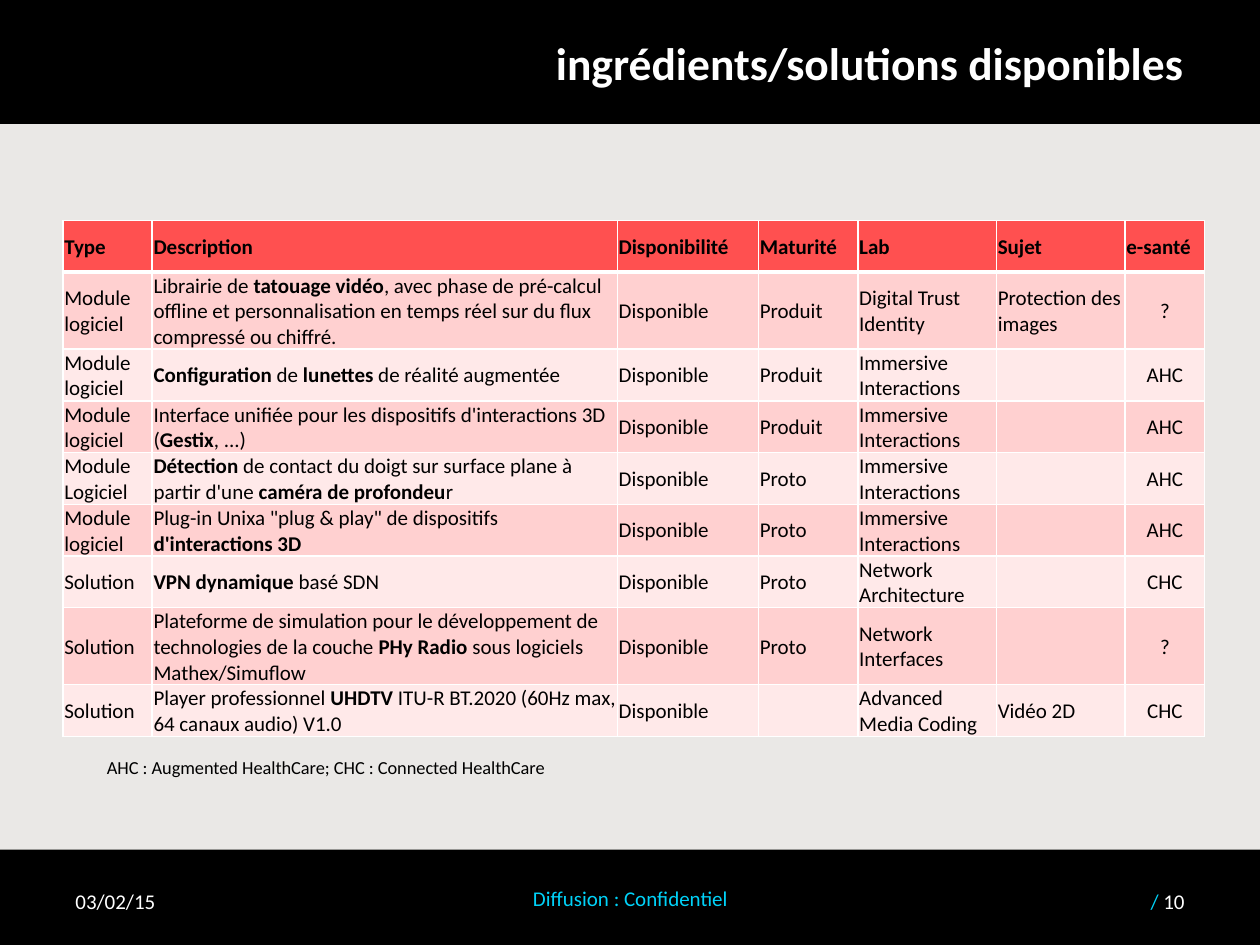
"""Build the slide listing the available ingredients and solutions."""
from dataclasses import dataclass

from lxml import etree
from pptx import Presentation
from pptx.dml.color import RGBColor
from pptx.enum.shapes import MSO_SHAPE
from pptx.enum.text import MSO_ANCHOR, PP_ALIGN
from pptx.oxml.ns import qn
from pptx.util import Pt

LEFT, CENTER, RIGHT = PP_ALIGN.LEFT, PP_ALIGN.CENTER, PP_ALIGN.RIGHT
TOP, MIDDLE = MSO_ANCHOR.TOP, MSO_ANCHOR.MIDDLE
RECTANGLE = MSO_SHAPE.RECTANGLE

TITLE = "ingrédients/solutions disponibles"
LEGEND = "AHC : Augmented HealthCare; CHC : Connected HealthCare"
DATE = "03/02/15"
CONFIDENTIALITY = "Diffusion : Confidentiel"
PAGE_SEPARATOR, PAGE_NUMBER = "/ ", "10"

HEADERS = ["Type", "Description", "Disponibilité", "Maturité", "Lab", "Sujet", "e-santé"]
SOLUTIONS = [
    ("Module logiciel",
     "Librairie de **tatouage vidéo**, avec phase de pré-calcul offline et "
     "personnalisation en temps réel sur du flux compressé ou chiffré.",
     "Disponible", "Produit", "Digital Trust Identity", "Protection des images", "?"),
    ("Module logiciel", "**Configuration** de **lunettes** de réalité augmentée",
     "Disponible", "Produit", "Immersive Interactions", "", "AHC"),
    ("Module logiciel",
     "Interface unifiée pour les dispositifs d'interactions 3D (**Gestix**, ...)",
     "Disponible", "Produit", "Immersive Interactions", "", "AHC"),
    ("Module Logiciel",
     "**Détection **de contact du doigt sur surface plane à partir d'une "
     "**caméra de profondeu**r",
     "Disponible", "Proto", "Immersive Interactions", "", "AHC"),
    ("Module logiciel",
     "Plug-in Unixa \"plug & play\" de dispositifs **d'interactions 3D**",
     "Disponible", "Proto", "Immersive Interactions", "", "AHC"),
    ("Solution", "**VPN dynamique **basé SDN",
     "Disponible", "Proto", "Network Architecture", "", "CHC"),
    ("Solution",
     "Plateforme de simulation pour le développement de technologies de la couche "
     "**PHy Radio **sous logiciels Mathex/Simuflow",
     "Disponible", "Proto", "Network Interfaces", "", "?"),
    ("Solution",
     "Player professionnel **UHDTV** ITU-R BT.2020 (60Hz max, 64 canaux audio) V1.0",
     "Disponible", "", "Advanced Media Coding", "Vidéo 2D", "CHC"),
]

SLIDE_WIDTH, SLIDE_HEIGHT = 720, 540
BANDS = [(0, 70.8), (485.5, 55)]
COLUMN_WIDTHS = [51, 265.8, 80.7, 56.8, 79.2, 73.5, 45.5]
ROW_HEIGHT = 29.5
TABLE_LEFT, TABLE_TOP = 36, 126
CELL_INSET = 0.75
BORDER_WIDTH, HEADER_RULE_WIDTH = 1, 3


@dataclass(frozen=True)
class Theme:
    font: str = "Calibri"
    background: str = "EAE8E6"
    black: str = "000000"
    white: str = "FFFFFF"
    accent: str = "00D2F8"
    header: str = "FF5050"
    stripes: tuple = ("FFD0D0", "FFE9E9")
    title_size: float = 26
    body_size: float = 12
    legend_size: float = 10.5


THEME = Theme()


def paint(fill, color):
    fill.solid()
    fill.fore_color.rgb = RGBColor.from_string(color)


def write(paragraph, parts, size, align=LEFT):
    """Fill a paragraph with (text, colour, bold) parts."""
    paragraph.alignment = align
    for text, color, bold in parts:
        run = paragraph.add_run()
        run.text = text
        run.font.name, run.font.size, run.font.bold = THEME.font, Pt(size), bold
        run.font.color.rgb = RGBColor.from_string(color)


def bold_parts(marked_text):
    """Split text on ** marks into plain and bold parts."""
    pieces = marked_text.split("**")
    return [(piece, THEME.black, i % 2 == 1) for i, piece in enumerate(pieces) if piece]


def add_label(slide, box, parts, size, align=LEFT, anchor=MIDDLE, wrap=True):
    label = slide.shapes.add_textbox(*map(Pt, box))
    label.text_frame.word_wrap = wrap
    label.text_frame.vertical_anchor = anchor
    write(label.text_frame.paragraphs[0], parts, size, align)


def add_bands(slide):
    for top, height in BANDS:
        band = slide.shapes.add_shape(RECTANGLE, 0, Pt(top), Pt(SLIDE_WIDTH), Pt(height))
        band.shadow.inherit = False
        paint(band.fill, THEME.black)
        band.line.fill.background()


def add_title(slide):
    title = slide.shapes.title
    title.left, title.top, title.width, title.height = map(Pt, (196, 16, 488, 39))
    title.text_frame.vertical_anchor = MIDDLE
    write(title.text_frame.paragraphs[0], [(TITLE, THEME.white, True)], THEME.title_size, RIGHT)
    slide.shapes.element.append(title.element)


def add_borders(cell, top, bottom):
    properties = cell._tc.get_or_add_tcPr()
    widths = {"lnL": BORDER_WIDTH, "lnR": BORDER_WIDTH, "lnT": top, "lnB": bottom}
    for side, width in widths.items():
        line = etree.SubElement(properties, qn(f"a:{side}"), w=str(int(Pt(width))))
        fill = etree.SubElement(line, qn("a:solidFill"))
        etree.SubElement(fill, qn("a:srgbClr"), val=THEME.white)


def format_cell(cell, row):
    top = HEADER_RULE_WIDTH if row == 1 else BORDER_WIDTH
    bottom = HEADER_RULE_WIDTH if row == 0 else BORDER_WIDTH
    add_borders(cell, top, bottom)
    paint(cell.fill, THEME.stripes[(row - 1) % 2] if row else THEME.header)
    cell.vertical_anchor = MIDDLE
    cell.margin_left = cell.margin_right = cell.margin_top = Pt(CELL_INSET)
    cell.margin_bottom = 0


def add_solutions_table(slide):
    rows = [[f"**{header}**" for header in HEADERS], *SOLUTIONS]
    table = slide.shapes.add_table(
        len(rows), len(HEADERS), Pt(TABLE_LEFT), Pt(TABLE_TOP),
        Pt(sum(COLUMN_WIDTHS)), Pt(ROW_HEIGHT * len(rows))).table
    for column, width in zip(table.columns, COLUMN_WIDTHS):
        column.width = Pt(width)
    for r, texts in enumerate(rows):
        table.rows[r].height = Pt(ROW_HEIGHT)
        for c, text in enumerate(texts):
            cell = table.cell(r, c)
            format_cell(cell, r)
            align = CENTER if r and c == len(HEADERS) - 1 else LEFT
            paragraph = cell.text_frame.paragraphs[0]
            paragraph.font.size = Pt(THEME.body_size)
            write(paragraph, bold_parts(text), THEME.body_size, align)


def add_footer(slide):
    size = THEME.body_size
    add_label(slide, (36, 500.5, 168, 28.8), [(DATE, THEME.white, False)], size)
    page = [(PAGE_SEPARATOR, THEME.accent, False), (PAGE_NUMBER, THEME.white, False)]
    add_label(slide, (516, 500.5, 168, 28.8), page, size, RIGHT)
    add_label(slide, (247, 502.5, 226.5, 21.8),
              [(CONFIDENTIALITY, THEME.accent, False)], size, CENTER, TOP)


def main():
    deck = Presentation()
    deck.slide_width, deck.slide_height = Pt(SLIDE_WIDTH), Pt(SLIDE_HEIGHT)
    slide = deck.slides.add_slide(deck.slide_layouts[5])
    paint(slide.background.fill, THEME.background)
    add_bands(slide)
    add_footer(slide)
    add_solutions_table(slide)
    add_title(slide)
    add_label(slide, (54, 428.5, 284.5, 20), [(LEGEND, THEME.black, False)],
              THEME.legend_size, anchor=TOP, wrap=False)
    deck.save("out.pptx")


if __name__ == "__main__":
    main()
